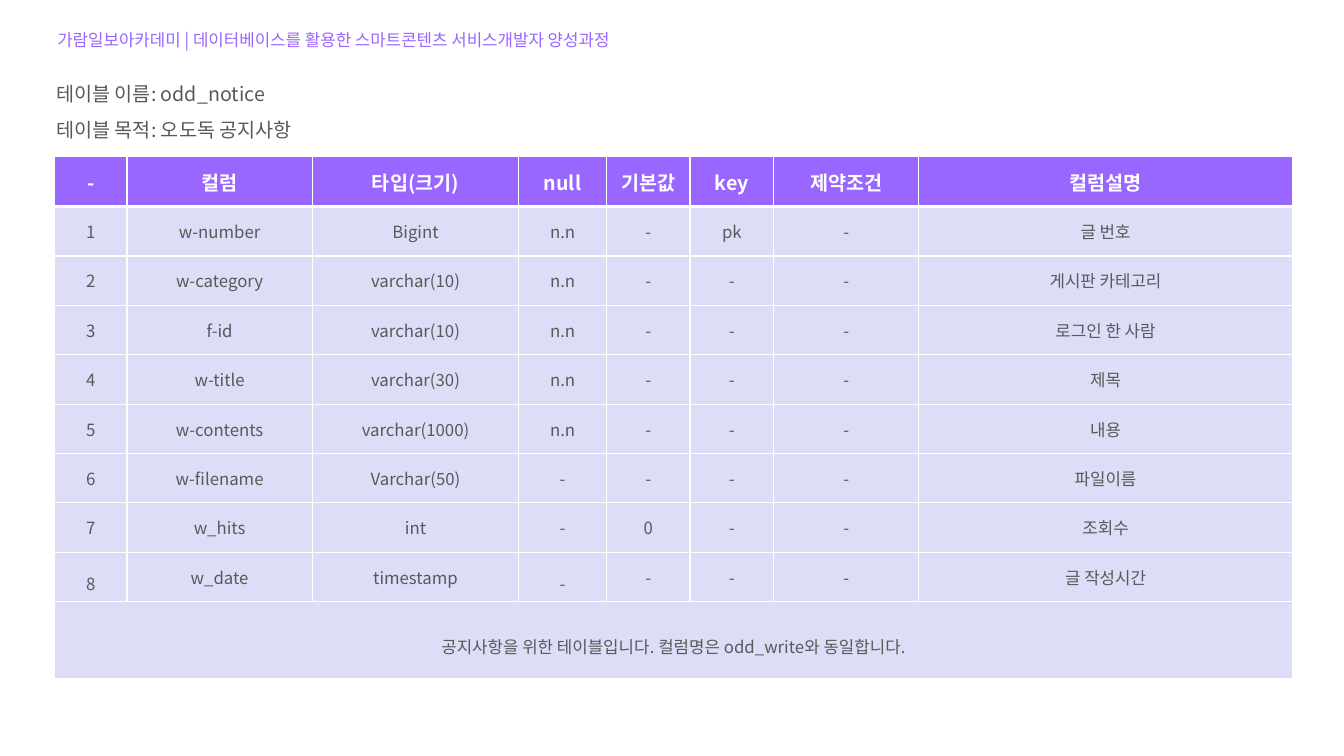
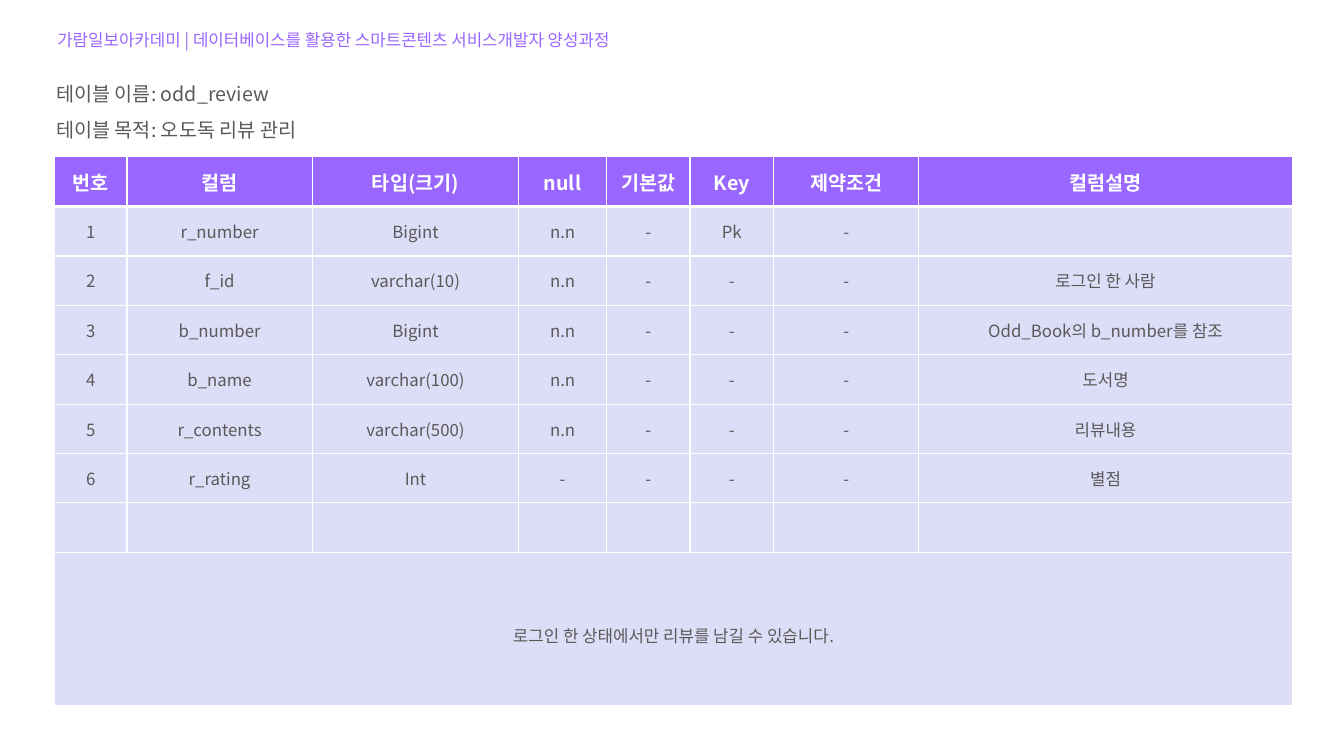
import pptx
import pptx.dml.color
import pptx.enum.text
import pptx.oxml.ns
import pptx.util
import lxml.etree

WIDTH, HEIGHT = 13.33, 7.5
FONT = "Noto Sans CJK KR"
PURPLE, LAVENDER, GREY, WHITE = "9966FF", "DDDDF7", "595959", "FFFFFF"
COURSE = "가람일보아카데미 | 데이터베이스를 활용한 스마트콘텐츠 서비스개발자 양성과정"
COURSE_BOX = (0.47, 0.15, 11.6, 0.35)
SUMMARY_BOX = (0.46, 0.65, 11.6, 0.75)
TABLE_LEFT, TABLE_TOP, TABLE_WIDTH = 0.54, 1.55, 12.28
COLUMNS = [0.72, 1.84, 2.05, 0.87, 0.83, 0.83, 1.44, 3.71]
HEADER_ROW, BODY_ROW = 0.5, 0.49
COURSE_STYLE = {"size": pptx.util.Pt(12), "color": PURPLE}
SUMMARY_STYLE = {"size": pptx.util.Pt(14), "color": GREY}
HEADER_STYLE = {"size": pptx.util.Pt(14), "bold": True, "color": WHITE}
BODY_STYLE = {"size": pptx.util.Pt(12), "bold": False, "color": GREY}

TABLES = [
    {
        "name": "odd_notice",
        "purpose": "오도독 공지사항",
        "header": ("-", "컬럼", "타입(크기)", "null", "기본값", "key", "제약조건", "컬럼설명"),
        "rows": [
            ("1", "w-number", "Bigint", "n.n", "-", "pk", "-", "글 번호"),
            ("2", "w-category", "varchar(10)", "n.n", "-", "-", "-", "게시판 카테고리"),
            ("3", "f-id", "varchar(10)", "n.n", "-", "-", "-", "로그인 한 사람"),
            ("4", "w-title", "varchar(30)", "n.n", "-", "-", "-", "제목"),
            ("5", "w-contents", "varchar(1000)", "n.n", "-", "-", "-", "내용"),
            ("6", "w-filename", "Varchar(50)", "-", "-", "-", "-", "파일이름"),
            ("7", "w_hits", "int", "-", "0", "-", "-", "조회수"),
            ("8", "w_date", "timestamp", "-", "-", "-", "-", "글 작성시간"),
        ],
        "remark": "공지사항을 위한 테이블입니다. 컬럼명은 odd_write와 동일합니다.",
        "remark_height": 0.76,
        "loose_cells": {(8, 0), (8, 3)},
    },
    {
        "name": "odd_review",
        "purpose": "오도독 리뷰 관리",
        "header": ("번호", "컬럼", "타입(크기)", "null", "기본값", "Key", "제약조건", "컬럼설명"),
        "rows": [
            ("1", "r_number", "Bigint", "n.n", "-", "Pk", "-", ""),
            ("2", "f_id", "varchar(10)", "n.n", "-", "-", "-", "로그인 한 사람"),
            ("3", "b_number", "Bigint", "n.n", "-", "-", "-", "Odd_Book의 b_number를 참조"),
            ("4", "b_name", "varchar(100)", "n.n", "-", "-", "-", "도서명"),
            ("5", "r_contents", "varchar(500)", "n.n", "-", "-", "-", "리뷰내용"),
            ("6", "r_rating", "Int", "-", "-", "-", "-", "별점"),
            ("",) * len(COLUMNS),
        ],
        "remark": "로그인 한 상태에서만 리뷰를 남길 수 있습니다.",
        "remark_height": 1.52,
        "loose_cells": set(),
    },
]


def rgb(value):
    """Turn a hex string into a colour."""
    return pptx.dml.color.RGBColor.from_string(value)


def add_element(parent, tag, **attributes):
    """Append a drawing element to a parent."""
    return lxml.etree.SubElement(parent, pptx.oxml.ns.qn(tag), attributes)


def write_span(para, text, style):
    """Add a run of text in the deck's font."""
    span = para.add_run()
    span.text = text
    for name, value in {"name": FONT, **style}.items():
        if name == "color":
            span.font.color.rgb = rgb(value)
        else:
            setattr(span.font, name, value)
    add_element(span.font._element, "a:ea", typeface=FONT)


def add_lines(page, box, lines, style):
    """Place a text box holding one paragraph for each line."""
    frame = page.shapes.add_textbox(*map(pptx.util.Inches, box)).text_frame
    frame.word_wrap = True
    frame.auto_size = pptx.enum.text.MSO_AUTO_SIZE.SHAPE_TO_FIT_TEXT
    for index, line in enumerate(lines):
        para = frame.add_paragraph() if index else frame.paragraphs[0]
        para.line_spacing = 1.5
        write_span(para, line, style)


def draw_borders(cell, top, bottom):
    """Draw white borders round a cell, with widths in points."""
    properties = cell._tc.get_or_add_tcPr()
    for side, width in {"L": 1, "R": 1, "T": top, "B": bottom}.items():
        line = add_element(properties, f"a:ln{side}", w=str(pptx.util.Pt(width)))
        add_element(add_element(line, "a:solidFill"), "a:srgbClr", val=WHITE)


def fill_cell(cell, text, row, loose):
    """Format one cell by its row and write its text."""
    draw_borders(cell, 3 if row == 1 else 1, 1 if row else 3)
    cell.fill.solid()
    cell.fill.fore_color.rgb = rgb(LAVENDER if row else PURPLE)
    cell.vertical_anchor = pptx.enum.text.MSO_ANCHOR.MIDDLE
    para = cell.text_frame.paragraphs[0]
    para.alignment = pptx.enum.text.PP_ALIGN.CENTER
    if loose:
        para.line_spacing = 1.5
    if text:
        write_span(para, text, BODY_STYLE if row else HEADER_STYLE)


def add_definition(page, box, content):
    """Place the column table with a merged remark row at its foot."""
    remark = (content["remark"],) + ("",) * (len(COLUMNS) - 1)
    rows = [content["header"], *content["rows"], remark]
    heights = [HEADER_ROW, *[BODY_ROW] * len(content["rows"]), content["remark_height"]]
    left, top, width = box
    lengths = map(pptx.util.Inches, (left, top, width, sum(heights)))
    table = page.shapes.add_table(len(rows), len(COLUMNS), *lengths).table
    table.horz_banding = False
    for column, share in zip(table.columns, COLUMNS):
        column.width = pptx.util.Inches(width * share / sum(COLUMNS))
    last = len(rows) - 1
    for row, (texts, height) in enumerate(zip(rows, heights)):
        table.rows[row].height = pptx.util.Inches(height)
        for column, text in enumerate(texts):
            loose = row == last or (row, column) in content["loose_cells"]
            fill_cell(table.cell(row, column), text, row, loose)
    table.cell(last, 0).merge(table.cell(last, len(COLUMNS) - 1))


def add_table_page(deck, content):
    """Build one slide that describes a database table."""
    page = deck.slides.add_slide(deck.slide_layouts[6])
    add_definition(page, (TABLE_LEFT, TABLE_TOP, TABLE_WIDTH), content)
    add_lines(page, COURSE_BOX, [COURSE], COURSE_STYLE)
    summary = [f"테이블 이름: {content['name']}", f"테이블 목적: {content['purpose']}"]
    add_lines(page, SUMMARY_BOX, summary, SUMMARY_STYLE)


def main():
    """Build and save the deck."""
    deck = pptx.Presentation()
    deck.slide_width = pptx.util.Inches(WIDTH)
    deck.slide_height = pptx.util.Inches(HEIGHT)
    for content in TABLES:
        add_table_page(deck, content)
    deck.save("out.pptx")


if __name__ == "__main__":
    main()
